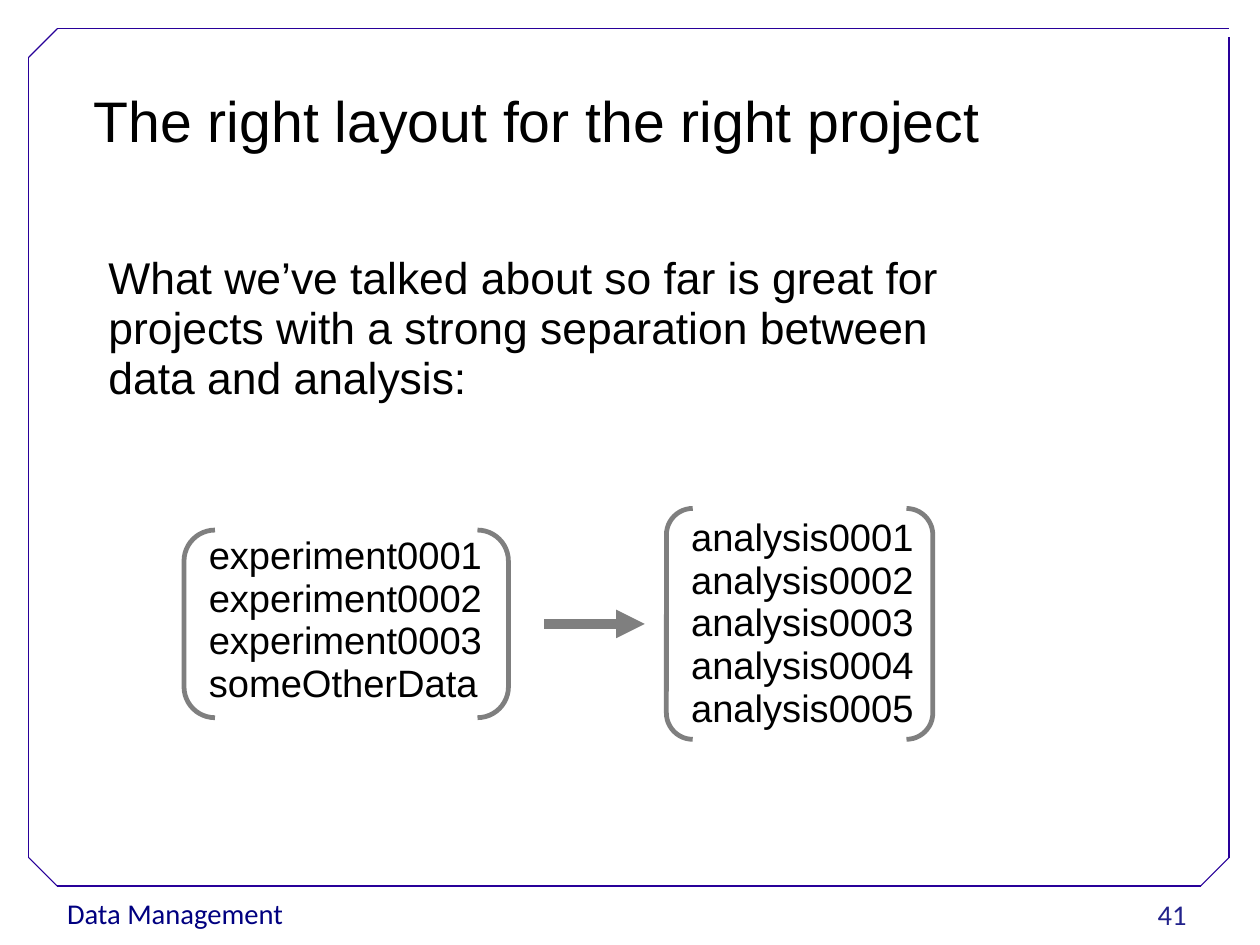
from lxml import etree
from pptx import Presentation
from pptx.dml.color import RGBColor
from pptx.enum.shapes import MSO_CONNECTOR, MSO_SHAPE
from pptx.enum.text import MSO_ANCHOR, MSO_AUTO_SIZE, PP_ALIGN
from pptx.oxml.ns import qn
from pptx.util import Cm, Pt

BLACK = RGBColor(0x00, 0x00, 0x00)
WHITE = RGBColor(0xFF, 0xFF, 0xFF)
NAVY = RGBColor(0x00, 0x00, 0x80)
BLUE = RGBColor(0x22, 0x22, 0x8B)
VIOLET = RGBColor(0x28, 0x00, 0x99)
GREY = RGBColor(0x7F, 0x7F, 0x7F)
LINE = MSO_CONNECTOR.STRAIGHT
PAIR = MSO_SHAPE.DOUBLE_BRACKET
TOP, MIDDLE = MSO_ANCHOR.TOP, MSO_ANCHOR.MIDDLE
LEFT, RIGHT = PP_ALIGN.LEFT, PP_ALIGN.RIGHT
NO_FIT = MSO_AUTO_SIZE.NONE


def set_all(item, values):
    for name, value in values.items():
        setattr(item, name, value)


def write(shape, lines, size, font="Arial", color=BLACK, align=LEFT,
          anchor=TOP, wrap=True, gap=0.93):
    frame = shape.text_frame
    frame.text = "\n".join(lines)
    set_all(frame, {
        "word_wrap": wrap, "auto_size": NO_FIT, "vertical_anchor": anchor,
        "margin_left": Cm(0.25), "margin_right": Cm(0.25),
        "margin_top": Cm(0.13), "margin_bottom": Cm(0.13)})
    for para in frame.paragraphs:
        set_all(para, {"alignment": align, "line_spacing": gap,
                       "space_before": Pt(0), "space_after": Pt(0)})
        set_all(para.font, {"name": font, "size": Pt(size)})
        para.font.color.rgb = color


def add_text(slide, box, lines, size, **style):
    shape = slide.shapes.add_textbox(*map(Cm, box))
    write(shape, lines, size, **style)
    return shape


def add_line(slide, start, end, color, width):
    line = slide.shapes.add_connector(LINE, *map(Cm, start + end))
    line.line.color.rgb = color
    line.line.width = Pt(width)
    etree.SubElement(line._element.spPr, qn("a:effectLst"))
    return line


# Border with three cut corners and an open top right corner
def add_frame(slide, box):
    x, y, w, h = box
    r, b, cut = x + w, y + h, 0.63
    points = [(r, y), (x + cut, y), (x, y + cut), (x, b - cut),
              (x + cut, b), (r - cut, b), (r, b - cut), (r, y + 0.18)]
    for start, end in zip(points, points[1:]):
        add_line(slide, start, end, VIOLET, 0.74)


# Footer label and page number
def add_foot(slide, box):
    x, y, w, h = box
    label = add_text(slide, (x, y, 4.57, h), ["Data Management"], 18,
                     font="Calibri", color=NAVY, wrap=False, gap=1.02)
    label.fill.solid()
    label.fill.fore_color.rgb = WHITE
    wide = 6.53
    add_text(slide, (x + w - wide, y + 0.03, wide, 1.12), ["41"], 18,
             font="Calibri", color=BLUE, align=RIGHT, anchor=MIDDLE)


# Title placeholder
def add_title(slide, box, text):
    title = slide.shapes.title
    set_all(title, dict(zip(("left", "top", "width", "height"),
                            map(Cm, box))))
    write(title, [text], 36)


# List of folders between round brackets
def add_list(slide, box, lines, drop, bend):
    x, y, w, h = box
    add_text(slide, (x + 0.3, y + drop, 7.37, h - 0.14), lines, 24)
    pair = slide.shapes.add_shape(PAIR, *map(Cm, box))
    pair.adjustments[0] = bend
    pair.shadow.inherit = False
    pair.fill.background()
    pair.line.color.rgb = GREY
    pair.line.width = Pt(3)


# Data folders, arrow, analysis folders
def add_flow(slide, box):
    x, y, w, h = box
    data = [f"experiment{n:04}" for n in range(1, 4)] + ["someOtherData"]
    work = [f"analysis{n:04}" for n in range(1, 6)]
    add_list(slide, (x, y + 0.48, 7.21, 4.17), data, 0, 0.165)
    add_list(slide, (x + w - 5.92, y, 5.92, h), work, 0.08, 0.114)
    mid = y + h / 2
    arrow = add_line(slide, (x + 8, mid), (x + 10.24, mid), GREY, 6)
    etree.SubElement(arrow.line._get_or_add_ln(), qn("a:tailEnd"),
                     type="triangle")


deck = Presentation()
deck.slide_width, deck.slide_height = Cm(28), Cm(21)
slide = deck.slides.add_slide(deck.slide_layouts[5])
add_foot(slide, (1.24, 19.76, 25.38, 1.02))
add_frame(slide, (0.64, 0.64, 26.67, 19.05))
add_title(slide, (1.83, 1.9, 24.49, 1.68),
          "The right layout for the right project")
add_text(slide, (2.16, 5.54, 19.99, 3.58),
         ["What we’ve talked about so far is great for projects with a "
          "strong separation between data and analysis:"], 28)
add_flow(slide, (4.09, 11.3, 16.64, 5.13))
deck.save("out.pptx")
